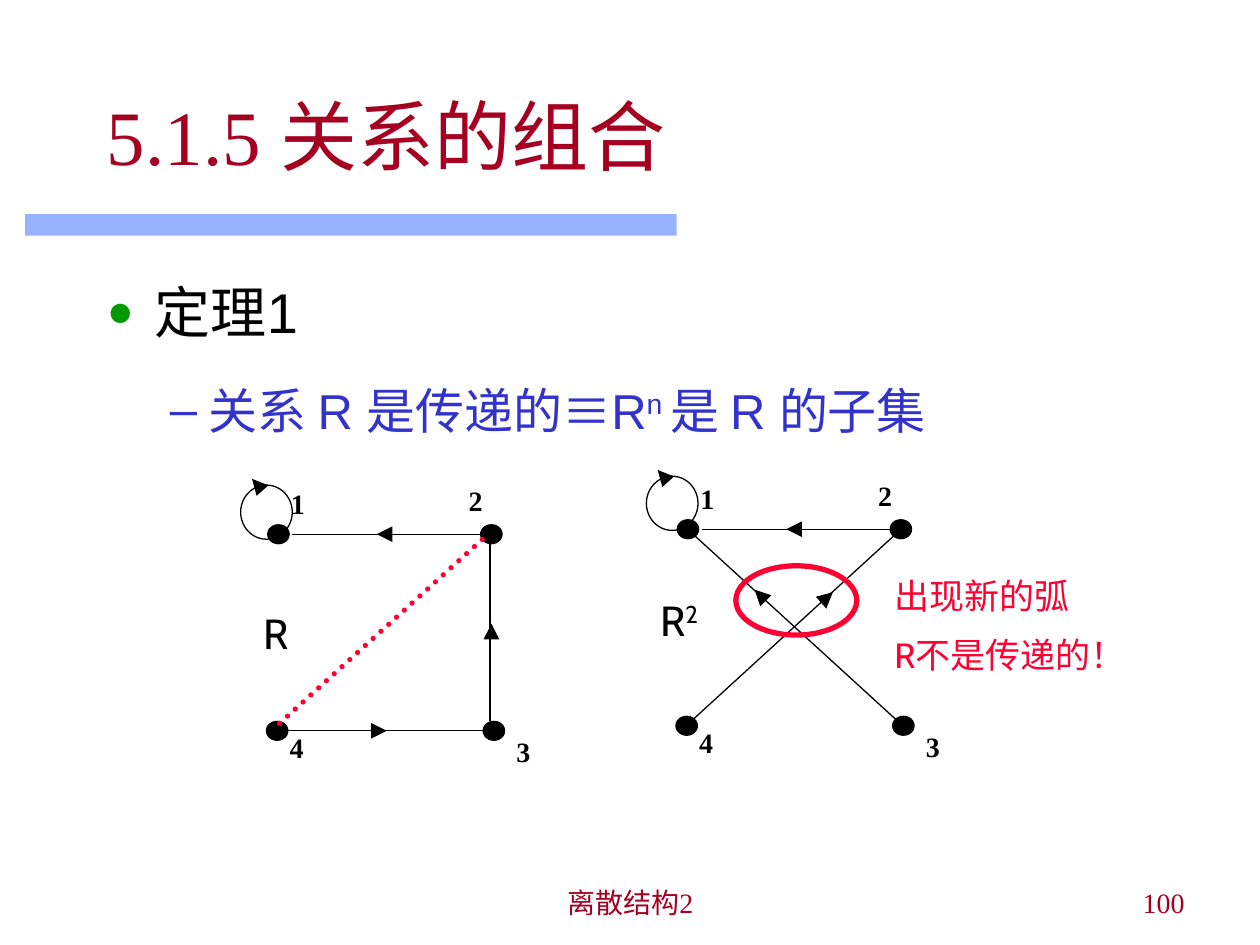
from dataclasses import dataclass
from typing import Optional

from lxml import etree
from pptx import Presentation
from pptx.dml.color import RGBColor
from pptx.enum import dml, shapes, text
from pptx.oxml import ns
from pptx.util import Inches, Pt

Point = tuple[float, float]
Box = tuple[float, float, float, float]


@dataclass(frozen=True)
class Theme:
    ink: str = "000000"
    heading: str = "A50021"
    point: str = "3333CC"
    bullet: str = "009900"
    bar: str = "3366FF"
    alert: str = "FF0033"
    serif: str = "Times New Roman"
    sans: str = "Arial"
    label: str = "Cabin"
    title_size: float = 44
    theorem_size: float = 32
    point_size: float = 28
    name_size: float = 24
    remark_size: float = 20
    small_size: float = 16
    thin: float = 0.75
    thick: float = 3


@dataclass(frozen=True)
class Bullet:
    char: str
    color: str
    margin: float
    hanging: float
    level: int = 0
    percent: int = 100


@dataclass(frozen=True)
class Arc:
    """An edge, with the short thick stroke that carries its arrowhead."""
    start: Point
    end: Point
    arrow_tail: Point
    arrow_tip: Point


@dataclass(frozen=True)
class Digraph:
    name: str
    power: str
    offset: Point
    loop: Point
    name_box: Box
    arcs: tuple[Arc, ...]


THEME = Theme()
DOT = (0.17, 0.15)
# vertex: (centre, top left of its label)
VERTICES = {
    "1": ((2.21, 4.24), (2.21, 3.81)),
    "2": ((3.9, 4.24), (3.62, 3.79)),
    "3": ((3.92, 5.8), (4.0, 5.78)),
    "4": ((2.2, 5.8), (2.2, 5.75)),
}
ARC_2_1 = Arc((3.82, 4.24), (2.32, 4.24), (3.09, 4.24), (2.99, 4.24))
DIGRAPHS = (
    Digraph("R", "", (0, 0), (1.91, 3.85), (1.99, 4.77, 0.41, 0.5), (
        ARC_2_1,
        Arc((3.89, 5.72), (3.89, 4.32), (3.9, 5.06), (3.9, 4.95)),
        Arc((2.26, 5.8), (3.89, 5.8), (2.97, 5.8), (3.07, 5.8)),
    )),
    Digraph("R", "2", (3.25, -0.04), (5.13, 3.78), (5.14, 4.67, 0.52, 0.5), (
        ARC_2_1,
        Arc((3.86, 5.75), (2.24, 4.27), (2.82, 4.8), (2.74, 4.72)),
        Arc((2.24, 5.76), (3.88, 4.26), (3.27, 4.82), (3.36, 4.74)),
    )),
)


def rgb(color: str) -> RGBColor:
    return RGBColor.from_string(color)


def shifted(point: Point, by: Point) -> Point:
    return point[0] + by[0], point[1] + by[1]


def add_bullet(paragraph, bullet: Bullet) -> None:
    paragraph.level = bullet.level
    props = paragraph._p.get_or_add_pPr()
    props.set("marL", str(Inches(bullet.margin)))
    props.set("indent", str(-Inches(bullet.hanging)))
    color = etree.SubElement(props, ns.qn("a:buClr"))
    etree.SubElement(color, ns.qn("a:srgbClr"), val=bullet.color)
    etree.SubElement(props, ns.qn("a:buSzPct"), val=str(bullet.percent * 1000))
    etree.SubElement(props, ns.qn("a:buFont"), typeface=THEME.sans)
    etree.SubElement(props, ns.qn("a:buChar"), char=bullet.char)


def write(paragraph, *parts: str, size: float, font: str, color: str,
          bold: bool = False, align=text.PP_ALIGN.LEFT,
          spacing: Optional[float] = None, before: float = 0,
          bullet: Optional[Bullet] = None) -> None:
    """Write the parts as runs; every second one is a superscript."""
    paragraph.alignment = align
    paragraph.space_before = Pt(before)
    if spacing:
        paragraph.line_spacing = spacing
    if bullet:
        add_bullet(paragraph, bullet)
    for index, part in enumerate(parts):
        run = paragraph.add_run()
        run.text = part
        run.font.size = Pt(size)
        run.font.name = font
        run.font.bold = bold
        run.font.color.rgb = rgb(color)
        if index % 2:
            run.font._element.set("baseline", "30000")


def add_frame(parent, box: Box, wrap: bool = True, anchor=text.MSO_ANCHOR.TOP):
    frame = parent.add_textbox(*map(Inches, box)).text_frame
    frame.word_wrap = wrap
    frame.vertical_anchor = anchor
    return frame


def add_figure(parent, kind, box: Box, fill: Optional[str] = None,
               line: Optional[str] = None, width: float = THEME.thin):
    figure = parent.add_shape(kind, *map(Inches, box))
    figure.shadow.inherit = False
    if fill:
        figure.fill.solid()
        figure.fill.fore_color.rgb = rgb(fill)
    else:
        figure.fill.background()
    if line:
        figure.line.color.rgb = rgb(line)
        figure.line.width = Pt(width)
    else:
        figure.line.fill.background()
    return figure


def add_stroke(parent, start: Point, end: Point, width: float = THEME.thin,
               color: str = THEME.ink, arrow: bool = False):
    stroke = parent.add_connector(shapes.MSO_CONNECTOR.STRAIGHT,
                                  *map(Inches, (*start, *end)))
    stroke.line.color.rgb = rgb(color)
    stroke.line.width = Pt(width)
    if arrow:
        etree.SubElement(stroke.line._get_or_add_ln(), ns.qn("a:tailEnd"), type="triangle")
    etree.SubElement(stroke._element.spPr, ns.qn("a:effectLst"))
    return stroke


def draw_digraph(slide, graph: Digraph) -> None:
    group = slide.shapes.add_group_shape().shapes
    oval = shapes.MSO_SHAPE.OVAL
    for number, (center, label) in VERTICES.items():
        corner = shifted(shifted(center, graph.offset), (-DOT[0] / 2, -DOT[1] / 2))
        add_figure(group, oval, (*corner, *DOT), fill=THEME.ink, line=THEME.ink)
        frame = add_frame(group, (*shifted(label, graph.offset), 0.42, 0.37))
        write(frame.paragraphs[0], number, size=THEME.small_size,
              font=THEME.serif, color=THEME.ink, bold=True)
    for arc in graph.arcs:
        start, end, tail, tip = (shifted(p, graph.offset) for p in
                                 (arc.start, arc.end, arc.arrow_tail, arc.arrow_tip))
        add_stroke(group, start, end)
        add_stroke(group, tail, tip, THEME.thick, arrow=True)
    add_figure(group, oval, (*graph.loop, 0.41, 0.43), line=THEME.ink)
    add_stroke(group, shifted(graph.loop, (0.17, 0.04)),
               shifted(graph.loop, (0.09, -0.05)), THEME.thick, arrow=True)
    parts = (graph.name, graph.power) if graph.power else (graph.name,)
    write(add_frame(group, graph.name_box, wrap=False).paragraphs[0], *parts,
          size=THEME.name_size, font=THEME.label, color=THEME.ink)


def main() -> None:
    deck = Presentation()
    deck.slide_width, deck.slide_height = Inches(10), Inches(7.5)
    slide = deck.slides.add_slide(deck.slide_layouts[6])

    bar = add_figure(slide.shapes, shapes.MSO_SHAPE.RECTANGLE,
                     (0.2, 1.7, 5.17, 0.17), fill=THEME.bar)
    bar_color = bar.fill._xPr.find(".//" + ns.qn("a:srgbClr"))
    etree.SubElement(bar_color, ns.qn("a:alpha"), val="50000")

    heading = dict(font=THEME.serif, color=THEME.heading)
    for words, box, align in (
            ("离散结构2", (3.42, 6.98, 3.17, 0.37), text.PP_ALIGN.CENTER),
            ("100", (7.17, 6.98, 2.33, 0.37), text.PP_ALIGN.RIGHT)):
        write(add_frame(slide.shapes, box).paragraphs[0], words,
              size=THEME.small_size, align=align, **heading)
    title = add_frame(slide.shapes, (0.75, 0.44, 8.5, 1.25), anchor=text.MSO_ANCHOR.MIDDLE)
    write(title.paragraphs[0], "5.1.5 关系的组合", size=THEME.title_size, **heading)

    body = add_frame(slide.shapes, (0.75, 1.94, 8.5, 4.88))
    write(body.paragraphs[0], "定理1", size=THEME.theorem_size, font=THEME.sans,
          color=THEME.ink, spacing=1.4,
          bullet=Bullet("●", THEME.bullet, 0.38, 0.38, percent=80))
    write(body.add_paragraph(), "关系 R 是传递的≡R", "n ", "是 R 的子集",
          size=THEME.point_size, font=THEME.sans, color=THEME.point, spacing=1.4,
          before=7, bullet=Bullet("–", THEME.point, 0.81, 0.31, level=1))

    for graph in DIGRAPHS:
        draw_digraph(slide, graph)

    add_figure(slide.shapes, shapes.MSO_SHAPE.OVAL, (5.84, 4.49, 0.96, 0.55),
               line=THEME.alert, width=THEME.thick)
    remark = add_frame(slide.shapes, (7, 4.38, 2.11, 1.04), wrap=False)
    for paragraph, words in ((remark.paragraphs[0], "出现新的弧"),
                             (remark.add_paragraph(), "R不是传递的！")):
        write(paragraph, words, size=THEME.remark_size, font=THEME.label,
              color=THEME.alert, spacing=1.4)
    missing_arc = add_stroke(slide.shapes, (2.22, 5.74), (3.84, 4.27),
                             THEME.thick, THEME.alert)
    missing_arc.line.dash_style = dml.MSO_LINE.ROUND_DOT
    missing_arc.line._get_or_add_ln().set("cap", "rnd")

    deck.save("out.pptx")


if __name__ == "__main__":
    main()
